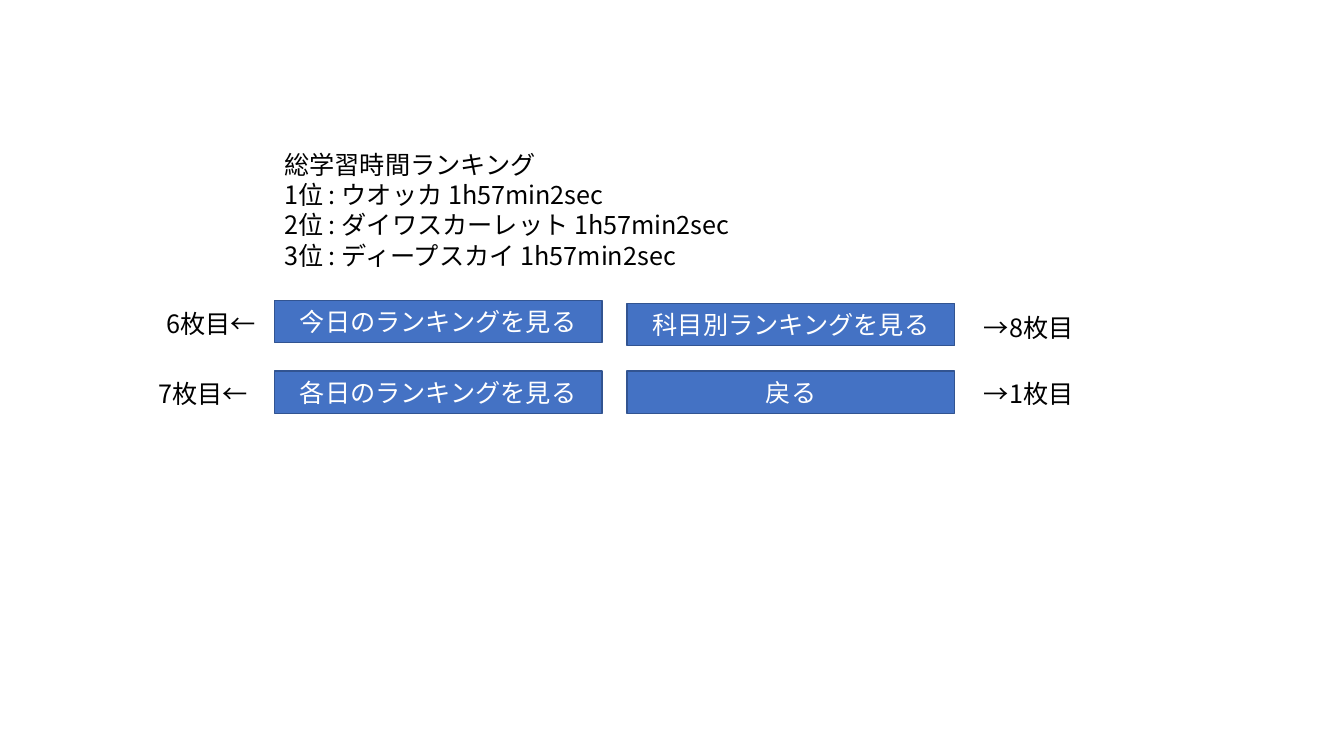
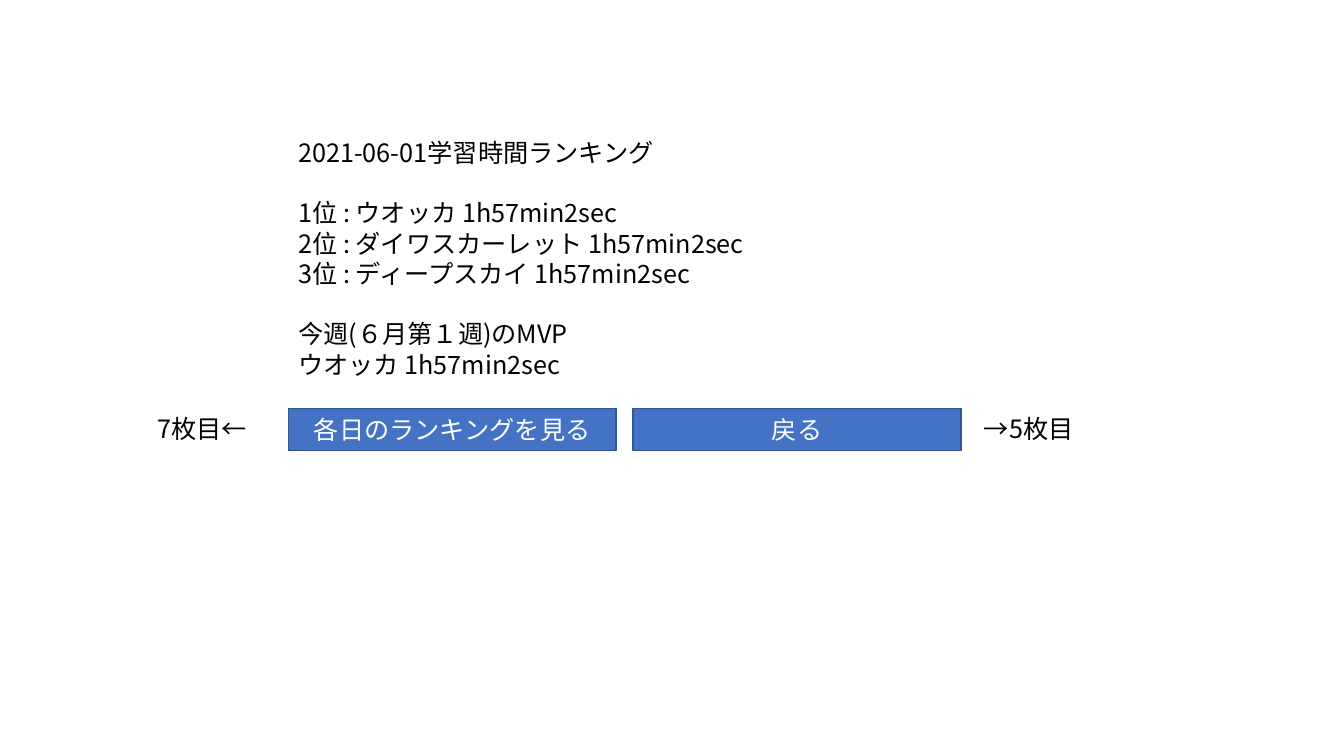
"""Build two ranking screens with navigation buttons and page references."""
from dataclasses import dataclass

from lxml import etree
from pptx import Presentation
from pptx.dml.color import RGBColor
from pptx.enum.shapes import MSO_SHAPE
from pptx.enum.text import MSO_ANCHOR, PP_ALIGN
from pptx.oxml.ns import qn
from pptx.util import Inches, Pt

RECTANGLE = MSO_SHAPE.RECTANGLE
MIDDLE = MSO_ANCHOR.MIDDLE
CENTER, LEFT = PP_ALIGN.CENTER, PP_ALIGN.LEFT


@dataclass(frozen=True)
class Theme:
    font: str = "Noto Sans CJK JP"
    size: Pt = Pt(18)
    group_gap: Pt = Pt(21.7)
    border_width: Pt = Pt(1)
    text: RGBColor = RGBColor(0x00, 0x00, 0x00)
    button_text: RGBColor = RGBColor(0xFF, 0xFF, 0xFF)
    button: RGBColor = RGBColor(0x44, 0x72, 0xC4)
    border: RGBColor = RGBColor(0x32, 0x54, 0x91)


THEME = Theme()
BUTTON_SIZE = (3.25, 0.42)
REFERENCE_SIZE = (1.89, 0.4)

RANKING = [
    "1位 : ウオッカ 1h57min2sec",
    "2位 : ダイワスカーレット 1h57min2sec",
    "3位 : ディープスカイ 1h57min2sec",
]
SCREENS = [
    {
        "box": (2.72, 1.43, 6.32, 1.31),
        "groups": [["総学習時間ランキング", *RANKING]],
        "buttons": [
            ("今日のランキングを見る", 2.72, 2.98),
            ("各日のランキングを見る", 2.72, 3.68),
            ("科目別ランキングを見る", 6.22, 3.01),
            ("戻る", 6.22, 3.68),
        ],
        "references": [
            ("6枚目←", 1.55, 3.01),
            ("7枚目←", 1.47, 3.7),
            ("→8枚目", 9.66, 3.05),
            ("→1枚目", 9.66, 3.7),
        ],
    },
    {
        "box": (2.86, 1.31, 6.67, 2.83),
        "groups": [
            ["2021-06-01学習時間ランキング"],
            RANKING,
            ["今週(６月第１週)のMVP", "ウオッカ 1h57min2sec"],
        ],
        "buttons": [
            ("各日のランキングを見る", 2.86, 4.05),
            ("戻る", 6.28, 4.05),
        ],
        "references": [
            ("7枚目←", 1.46, 4.05),
            ("→5枚目", 9.66, 4.05),
        ],
    },
]


def write_paragraph(paragraph, text, color, alignment=LEFT):
    paragraph.text = text
    paragraph.alignment = alignment
    font = paragraph.font
    font.name, font.size = THEME.font, THEME.size
    font.color.rgb = color
    properties = paragraph._p.pPr.find(qn("a:defRPr"))
    etree.SubElement(properties, qn("a:ea"), typeface=THEME.font)


def add_text(slide, box, groups):
    frame = slide.shapes.add_textbox(*map(Inches, box)).text_frame
    frame.word_wrap = True
    paragraph = None
    for group in groups:
        for index, line in enumerate(group):
            starts_later_group = paragraph is not None and index == 0
            paragraph = frame.paragraphs[0] if paragraph is None else frame.add_paragraph()
            write_paragraph(paragraph, line, THEME.text)
            if starts_later_group:
                paragraph.space_before = THEME.group_gap


def add_button(slide, text, left, top):
    shape = slide.shapes.add_shape(RECTANGLE, *map(Inches, (left, top, *BUTTON_SIZE)))
    shape.shadow.inherit = False
    shape.fill.solid()
    shape.fill.fore_color.rgb = THEME.button
    shape.line.color.rgb = THEME.border
    shape.line.width = THEME.border_width
    shape.text_frame.vertical_anchor = MIDDLE
    write_paragraph(shape.text_frame.paragraphs[0], text, THEME.button_text, CENTER)


def main():
    presentation = Presentation()
    presentation.slide_width = Inches(13.33)
    presentation.slide_height = Inches(7.5)
    blank_layout = presentation.slide_layouts[6]
    for screen in SCREENS:
        slide = presentation.slides.add_slide(blank_layout)
        add_text(slide, screen["box"], screen["groups"])
        for button in screen["buttons"]:
            add_button(slide, *button)
        for text, left, top in screen["references"]:
            add_text(slide, (left, top, *REFERENCE_SIZE), [[text]])
    presentation.save("out.pptx")


if __name__ == "__main__":
    main()
